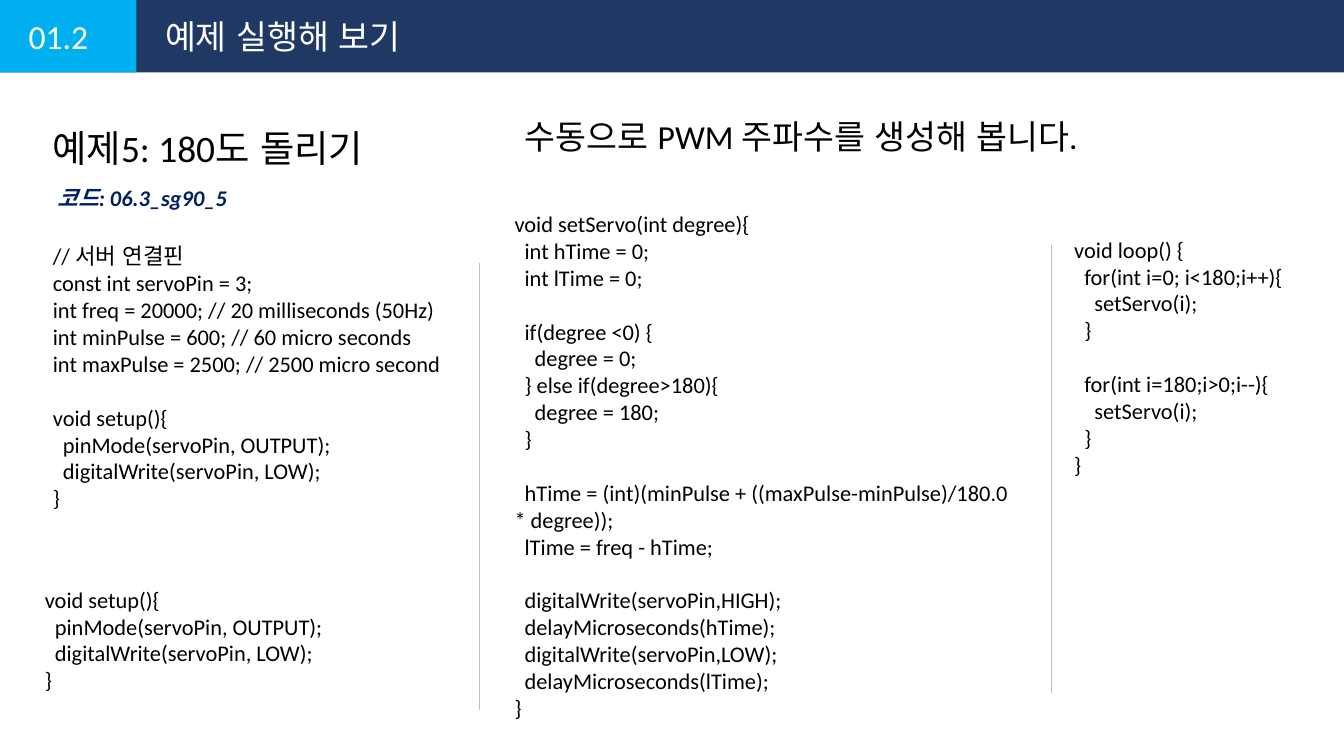
from dataclasses import dataclass

from lxml.etree import SubElement
from pptx import Presentation
from pptx.dml.color import RGBColor
from pptx.enum.lang import MSO_LANGUAGE_ID as Language
from pptx.enum.shapes import MSO_CONNECTOR as Connector, MSO_SHAPE as Shape
from pptx.enum.text import MSO_AUTO_SIZE as AutoSize
from pptx.oxml.ns import qn
from pptx.slide import Slide
from pptx.util import Emu, Pt

PX = 4572  # 200 px to the inch


@dataclass(frozen=True)
class Theme:
    font: str = "Calibri"
    navy: str = "203864"
    cyan: str = "00B0F0"
    white: str = "FFFFFF"
    black: str = "000000"
    file_blue: str = "002060"
    rule_gray: str = "BFBFBF"
    heading_size: float = 20
    title_size: float = 18
    code_size: float = 12
    code_gap: float = 14.4
    rule_width: float = 0.5


THEME = Theme()


@dataclass(frozen=True)
class Band:
    width: int
    color: str


@dataclass(frozen=True)
class Rule:
    x: int
    top: int


@dataclass(frozen=True)
class Label:
    """Text box; an empty line in its text becomes space before the next paragraph."""
    left: int
    top: int
    width: int
    height: int
    text: str
    size: float = THEME.code_size
    color: str = THEME.black
    emphasis: bool = False


PAGE_WIDTH, PAGE_HEIGHT = 2000, 1125
BAND_HEIGHT = 108
RULE_LENGTH = 666

SETUP = """void setup(){
  pinMode(servoPin, OUTPUT);
  digitalWrite(servoPin, LOW);
}"""

SETTINGS = """// 서버 연결핀
const int servoPin = 3;
int freq = 20000; // 20 milliseconds (50Hz)
int minPulse = 600; // 60 micro seconds
int maxPulse = 2500; // 2500 micro second"""

SET_SERVO = """void setServo(int degree){
  int hTime = 0;
  int lTime = 0;

  if(degree <0) {
    degree = 0;
  } else if(degree>180){
    degree = 180;
  }

  hTime = (int)(minPulse + ((maxPulse-minPulse)/180.0 * degree));
  lTime = freq - hTime;

  digitalWrite(servoPin,HIGH);
  delayMicroseconds(hTime);
  digitalWrite(servoPin,LOW);
  delayMicroseconds(lTime);
}"""

LOOP = """void loop() {
  for(int i=0; i<180;i++){
    setServo(i);
  }

  for(int i=180;i>0;i--){
    setServo(i);
  }
}"""

BANDS = [Band(PAGE_WIDTH, THEME.navy), Band(203, THEME.cyan)]
RULES = [Rule(714, 391), Rule(1565, 365)]
LABELS = [
    Label(23, 14, 130, 80, "01.2", THEME.title_size, THEME.white),
    Label(226, 14, 1032, 80, "예제 실행해 보기", THEME.title_size, THEME.white),
    Label(58, 176, 642, 88, "예제5: 180도 돌리기", THEME.heading_size),
    Label(66, 264, 542, 60, "코드: 06.3_sg90_5", color=THEME.file_blue, emphasis=True),
    Label(761, 163, 1084, 80, "수동으로 PWM 주파수를 생성해 봅니다.", THEME.title_size),
    Label(59, 351, 622, 424, f"{SETTINGS}\n\n{SETUP}"),
    Label(47, 862, 622, 182, SETUP),
    Label(746, 303, 776, 788, SET_SERVO),
    Label(1579, 341, 386, 384, LOOP),
]


def px(length: int) -> Emu:
    return Emu(length * PX)


def rgb(color: str) -> RGBColor:
    return RGBColor.from_string(color)


def draw_band(page: Slide, band: Band) -> None:
    box = page.shapes.add_shape(Shape.RECTANGLE, 0, 0, px(band.width), px(BAND_HEIGHT))
    box.shadow.inherit = False
    box.fill.solid()
    box.fill.fore_color.rgb = rgb(band.color)
    box.line.fill.background()


def draw_rule(page: Slide, rule: Rule) -> None:
    line = page.shapes.add_connector(
        Connector.STRAIGHT, px(rule.x), px(rule.top), px(rule.x), px(rule.top + RULE_LENGTH))
    line.line.color.rgb = rgb(THEME.rule_gray)
    line.line.width = Pt(THEME.rule_width)
    SubElement(line._element.spPr, qn("a:effectLst"))


def draw_label(page: Slide, label: Label) -> None:
    box = page.shapes.add_textbox(
        px(label.left), px(label.top), px(label.width), px(label.height))
    frame = box.text_frame
    frame.word_wrap = True
    frame.auto_size = AutoSize.SHAPE_TO_FIT_TEXT
    blocks = label.text.split("\n\n")
    frame.text = "\n".join(blocks)

    first_line = 0
    for block in blocks:
        if first_line:
            frame.paragraphs[first_line].space_before = Pt(THEME.code_gap)
        first_line += len(block.split("\n"))

    for para in frame.paragraphs:
        for span in para.runs:
            span.font.name = THEME.font
            span.font.size = Pt(label.size)
            span.font.color.rgb = rgb(label.color)
            span.font.language_id = Language.KOREAN
            if label.emphasis:
                span.font.bold = span.font.italic = True


def main() -> None:
    deck = Presentation()
    deck.slide_width, deck.slide_height = px(PAGE_WIDTH), px(PAGE_HEIGHT)
    page = deck.slides.add_slide(deck.slide_layouts[6])
    for band in BANDS:
        draw_band(page, band)
    for rule in RULES:
        draw_rule(page, rule)
    for label in LABELS:
        draw_label(page, label)
    deck.save("out.pptx")


if __name__ == "__main__":
    main()
